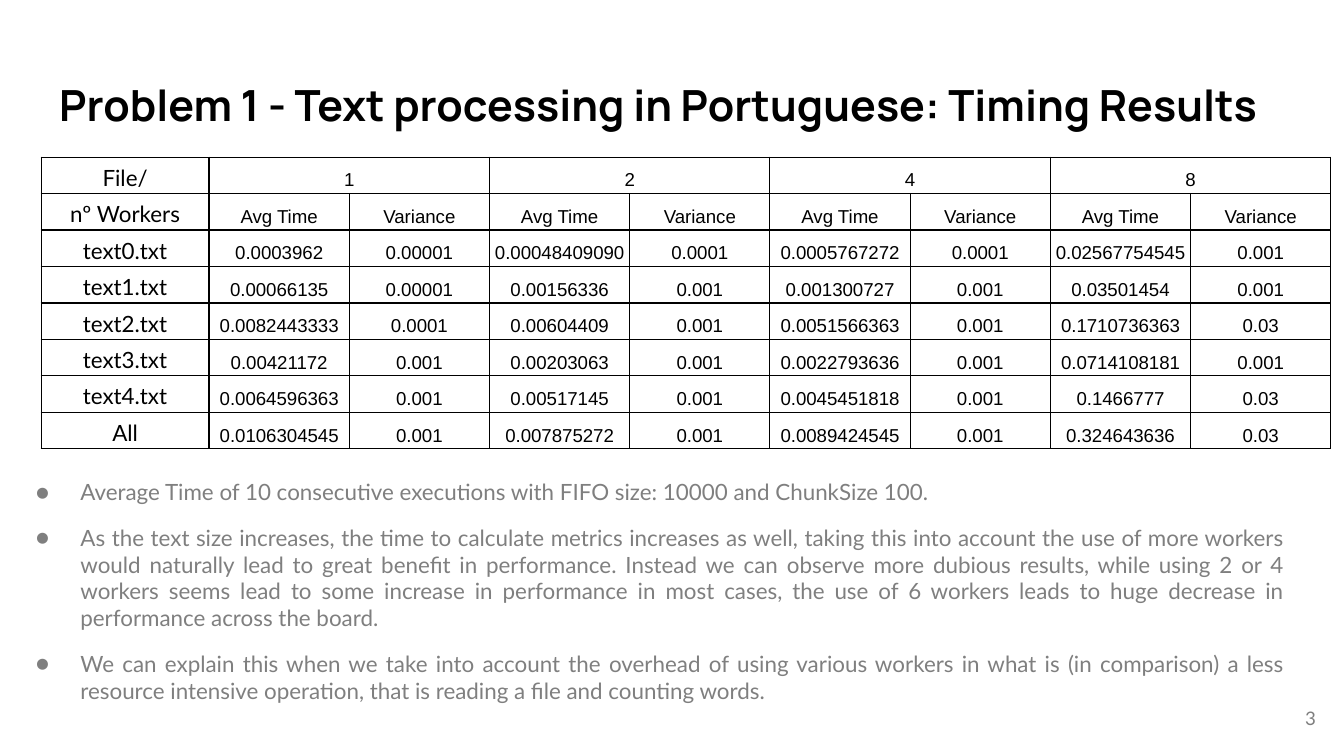
from lxml import etree
from pptx import Presentation
from pptx.dml.color import RGBColor
from pptx.enum.text import MSO_ANCHOR, PP_ALIGN
from pptx.oxml.ns import qn
from pptx.util import Cm, Pt

LEFT, CENTER, RIGHT, JUSTIFY = PP_ALIGN.LEFT, PP_ALIGN.CENTER, PP_ALIGN.RIGHT, PP_ALIGN.JUSTIFY
TOP, MIDDLE, BOTTOM = MSO_ANCHOR.TOP, MSO_ANCHOR.MIDDLE, MSO_ANCHOR.BOTTOM
COLORS = {"black": "000000", "gray": "7F7F7F", "white": "FFFFFF"}


def add_run(paragraph, text, font, size, color, bold=False):
    run = paragraph.add_run()
    run.text = text
    run.font.name = font
    run.font.size = Pt(size)
    run.font.bold = bold
    run.font.color.rgb = RGBColor.from_string(COLORS[color])


def add_text_frame(slide, left, top, width, height, anchor):
    shape = slide.shapes.add_textbox(Cm(left), Cm(top), Cm(width), Cm(height))
    frame = shape.text_frame
    frame.word_wrap = True
    frame.vertical_anchor = anchor
    frame.margin_left = frame.margin_right = Cm(0.25)
    frame.margin_top = frame.margin_bottom = Cm(0.25)
    return frame


presentation = Presentation()
presentation.slide_width = Cm(25.4)
presentation.slide_height = Cm(14.29)
slide = presentation.slides.add_slide(presentation.slide_layouts[6])
slide.background.fill.solid()
slide.background.fill.fore_color.rgb = RGBColor.from_string(COLORS["white"])

title = add_text_frame(slide, 0.87, 1.24, 23.67, 1.73, TOP).paragraphs[0]
title.alignment = LEFT
add_run(title, "Problem 1 - Text processing in Portuguese: Timing Results", "Manrope", 23, "black", True)

page_number = add_text_frame(slide, 23.6, 13.03, 1.52, 1.09, MIDDLE).paragraphs[0]
page_number.alignment = RIGHT
add_run(page_number, "3", "Lato", 10, "gray")

remarks = [
    "Average Time of 10 consecutive executions with FIFO size: 10000 and ChunkSize 100.",
    "As the text size increases, the time to calculate metrics increases as well, taking this into "
    "account the use of more workers would naturally lead to great benefit in performance. Instead we "
    "can observe more dubious results, while using 2 or 4 workers seems lead to some increase in "
    "performance in most cases, the use of 6 workers leads to huge decrease in performance across the board.",
    "We can explain this when we take into account the overhead of using various workers in what is "
    "(in comparison) a less resource intensive operation, that is reading a file and counting words.",
]
remarks_frame = add_text_frame(slide, 0, 8.79, 24.54, 5.5, TOP)
for index, remark in enumerate(remarks):
    paragraph = remarks_frame.add_paragraph() if index else remarks_frame.paragraphs[0]
    paragraph.alignment = JUSTIFY
    paragraph.space_before = Pt(10 if index else 0)
    properties = paragraph._p.get_or_add_pPr()
    properties.set("marL", str(Cm(1.27)))
    properties.set("indent", str(Cm(-0.84)))
    bullet_color = etree.SubElement(properties, qn("a:buClr"))
    etree.SubElement(bullet_color, qn("a:srgbClr"), val=COLORS["gray"])
    etree.SubElement(properties, qn("a:buFont"), typeface="Lato")
    etree.SubElement(properties, qn("a:buChar"), char="●")
    add_run(paragraph, remark, "Lato", 12, "gray")
paragraph.space_after = Pt(10)

rows = [
    ["File/", "1", "", "2", "", "4", "", "8", ""],
    ["nº Workers"] + ["Avg Time", "Variance"] * 4,
    ["text0.txt", "0.0003962", "0.00001", "0.00048409090", "0.0001",
     "0.0005767272", "0.0001", "0.02567754545", "0.001"],
    ["text1.txt", "0.00066135", "0.00001", "0.00156336", "0.001",
     "0.001300727", "0.001", "0.03501454", "0.001"],
    ["text2.txt", "0.0082443333", "0.0001", "0.00604409", "0.001",
     "0.0051566363", "0.001", "0.1710736363", "0.03"],
    ["text3.txt", "0.00421172", "0.001", "0.00203063", "0.001",
     "0.0022793636", "0.001", "0.0714108181", "0.001"],
    ["text4.txt", "0.0064596363", "0.001", "0.00517145", "0.001",
     "0.0045451818", "0.001", "0.1466777", "0.03"],
    ["All", "0.0106304545", "0.001", "0.007875272", "0.001",
     "0.0089424545", "0.001", "0.324643636", "0.03"],
]
label_width, value_width, row_height = 3.17, 2.65, 0.69
table = slide.shapes.add_table(
    len(rows), len(rows[0]), Cm(0.78), Cm(2.97),
    Cm(label_width + 8 * value_width), Cm(row_height * len(rows)),
).table
table.first_row = False
table.horz_banding = False
for index, column in enumerate(table.columns):
    column.width = Cm(value_width if index else label_width)
for row in table.rows:
    row.height = Cm(row_height)
for index in range(1, 9, 2):
    table.cell(0, index).merge(table.cell(0, index + 1))

for row_index, row_values in enumerate(rows):
    for column_index, text in enumerate(row_values):
        cell = table.cell(row_index, column_index)
        cell.fill.background()
        cell.vertical_anchor = BOTTOM
        cell.margin_left = cell.margin_right = Cm(0.08)
        cell.margin_top = cell.margin_bottom = Cm(0.05)
        cell_properties = cell._tc.get_or_add_tcPr()
        for position, side in enumerate(("a:lnL", "a:lnR", "a:lnT", "a:lnB")):
            border = etree.Element(qn(side), w=str(Pt(0.75)))
            border_fill = etree.SubElement(border, qn("a:solidFill"))
            etree.SubElement(border_fill, qn("a:srgbClr"), val=COLORS["black"])
            cell_properties.insert(position, border)
        if text:
            paragraph = cell.text_frame.paragraphs[0]
            paragraph.alignment = CENTER
            paragraph.line_spacing = 1.15
            font, size = ("Arial", 10) if column_index else ("Lato", 12)
            add_run(paragraph, text, font, size, "black")

presentation.save("out.pptx")
